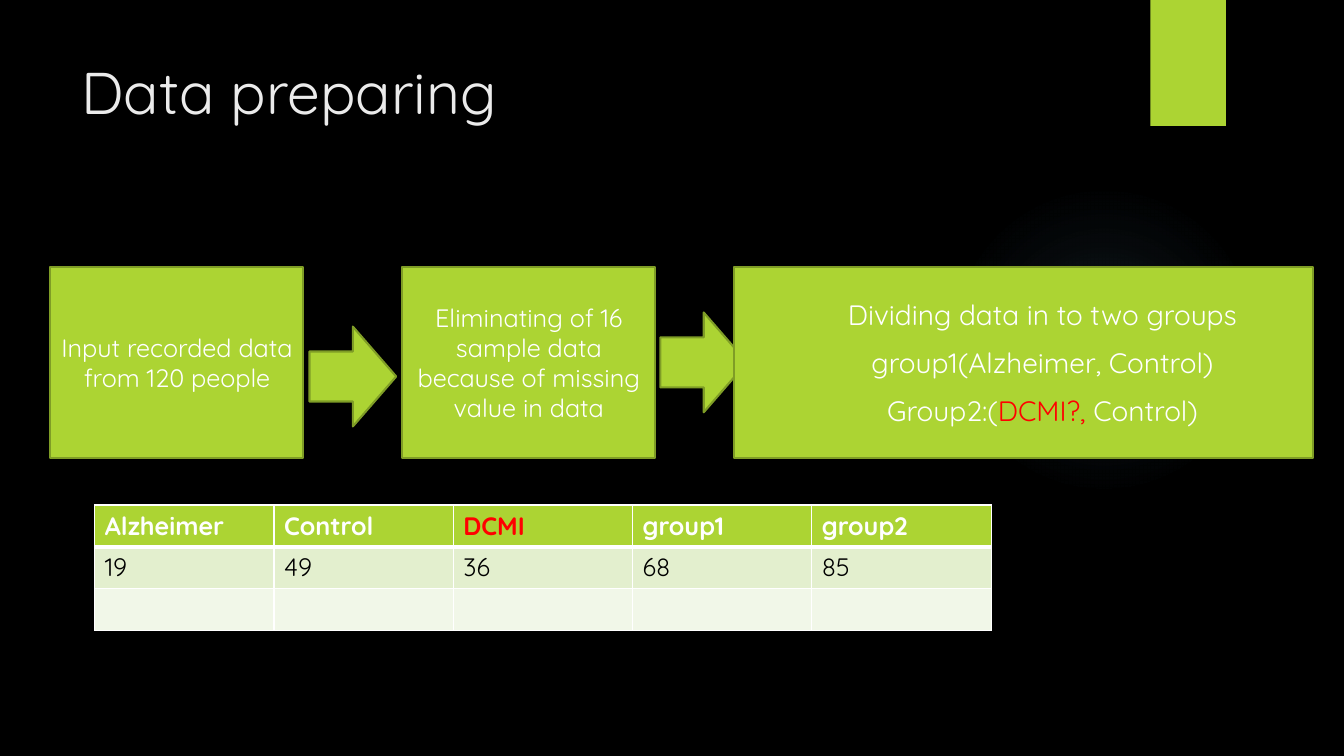
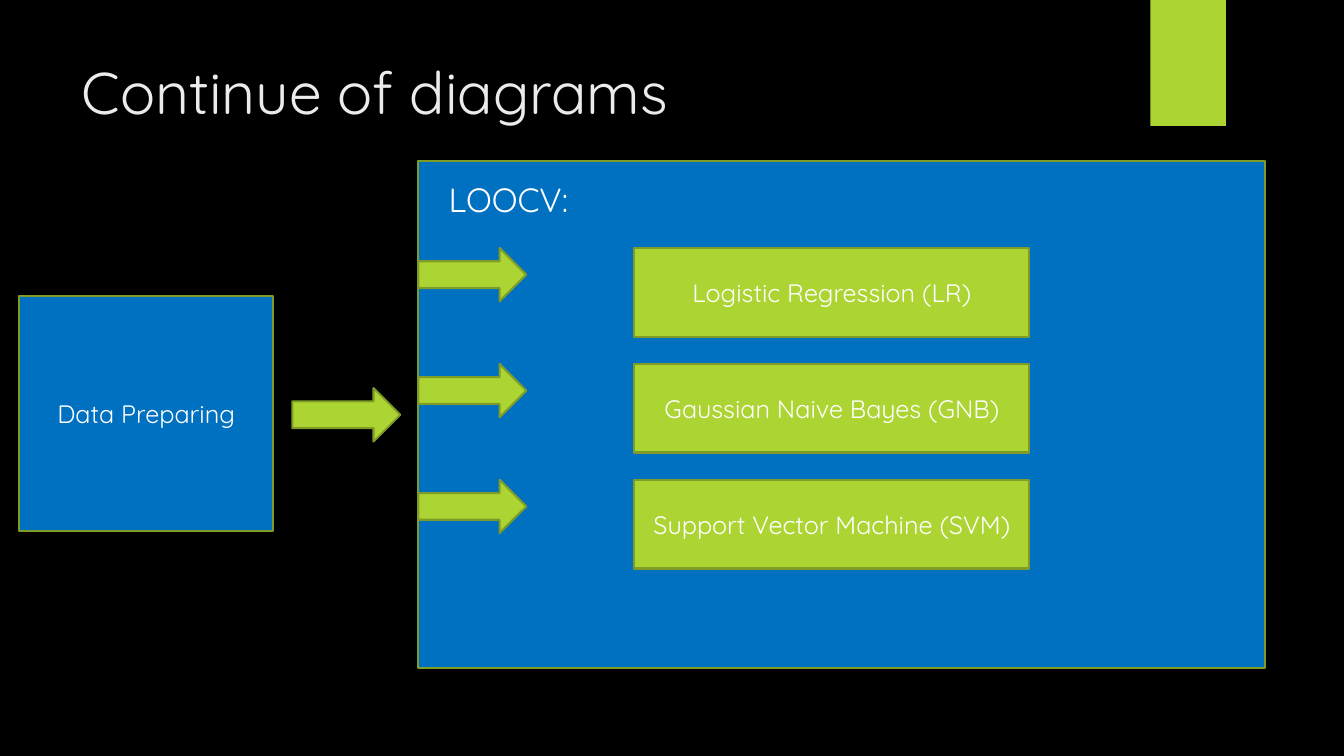
from dataclasses import dataclass

from lxml import etree
from pptx import Presentation
from pptx.dml.color import RGBColor
from pptx.enum.shapes import MSO_SHAPE as Shape
from pptx.enum.text import MSO_ANCHOR as Anchor, MSO_AUTO_SIZE as AutoSize, PP_ALIGN as Align
from pptx.oxml.ns import qn
from pptx.text.text import Font
from pptx.util import Inches, Pt


@dataclass(frozen=True)
class Theme:
    font: str = "Quicksand"
    background: str = "000000"
    title: str = "EBEBEB"
    green: str = "ACD433"
    outline: str = "7F9D26"
    blue: str = "0070C0"
    white: str = "FFFFFF"
    black: str = "000000"
    red: str = "FF0000"
    row_odd: str = "E3EFCE"
    row_even: str = "F1F7E8"
    glow: str = "7AC4F0"
    title_size: int = 42
    label_size: int = 24
    body_size: int = 20
    text_size: int = 18
    line_width: float = 1.5


THEME = Theme()

# Content; positions are (left, top, width, height) in inches
PREPARING_TITLE = "Data preparing"
STEPS = [
    ("Input recorded data from 120 people", (0.5, 2.65, 2.51, 1.89)),
    ("Eliminating of 16 sample data because of missing value in data", (3.99, 2.65, 2.51, 1.89)),
]
STEP_ARROWS = [(3.07, 3.24, 0.86, 0.99), (6.55, 3.1, 0.86, 0.99)]
GROUPS_AREA = (7.28, 2.65, 5.74, 1.89)
GROUPS = [
    [("Dividing data in to two groups", THEME.white)],
    [("group1(Alzheimer, Control)", THEME.white)],
    [("Group2:(", THEME.white), ("DCMI?, ", THEME.red), ("Control)", THEME.white)],
]
COUNTS_AREA = (0.94, 5.01, 8.89, 1.22)
COUNTS = [
    ["Alzheimer", "Control", "DCMI", "group1", "group2"],
    ["19", "49", "36", "68", "85"],
    ["", "", "", "", ""],
]
HIGHLIGHTED = "DCMI"

DIAGRAM_TITLE = "Continue of diagrams"
SOURCE = ("Data Preparing", (0.19, 2.94, 2.52, 2.33))
SOURCE_ARROW = (2.9, 3.85)
VALIDATION_AREA = (4.15, 1.6, 8.4, 5.03)
VALIDATION = ("LOOCV:", (4.35, 1.73, 1.75, 0.5))
MODELS = ["Logistic Regression (LR)", "Gaussian Naive Bayes (GNB)", "Support Vector Machine (SVM)"]
MODEL_TOP, MODEL_PITCH = 2.46, 1.15
ARROW_SIZE = (1.07, 0.53)

BAND_AREA = (11.41, 0, 0.75, 1.25)
GLOW_AREA = (9.41, 1.83, 3.08, 3.08)
GLOW_STOPS = [(0, 7), (36, 6), (69, 0)]  # position and opacity, percent


def inches(area):
    return [Inches(length) for length in area]


def rgb(value):
    return RGBColor.from_string(value)


def style_font(font, size, color, bold=None):
    font.name = THEME.font
    font.size = Pt(size)
    font.color.rgb = rgb(color)
    font.bold = bold


def add_solid(parent, color):
    fill = etree.SubElement(parent, qn("a:solidFill"))
    etree.SubElement(fill, qn("a:srgbClr"), val=color)


def add_box(page, area, text="", fill=THEME.green, kind=Shape.RECTANGLE, outline=True):
    box = page.shapes.add_shape(kind, *inches(area))
    box.shadow.inherit = False
    box.fill.solid()
    box.fill.fore_color.rgb = rgb(fill)
    if outline:
        box.line.color.rgb = rgb(THEME.outline)
        box.line.width = Pt(THEME.line_width)
    else:
        box.line.fill.background()
    if text:
        box.text_frame.word_wrap = True
        box.text_frame.vertical_anchor = Anchor.MIDDLE
        para = box.text_frame.paragraphs[0]
        para.text = text
        para.alignment = Align.CENTER
        style_font(para.font, THEME.text_size, THEME.white)
    return box


def add_arrow(page, area):
    return add_box(page, area, kind=Shape.RIGHT_ARROW)


def move_behind(shape, target):
    """Move a shape to the back of a master or layout."""
    target.shapes.element.insert(2, shape.element)


def style_master(master):
    master.background.fill.solid()
    master.background.fill.fore_color.rgb = rgb(THEME.background)
    title = master.placeholders[0]
    title.left, title.top, title.width, title.height = inches((0.71, 0.5, 10.29, 1.53))
    title.text_frame.vertical_anchor = Anchor.TOP
    level = master.element.xpath("//p:titleStyle/a:lvl1pPr")[0]
    level.set("algn", "l")
    style_font(Font(level.find(qn("a:defRPr"))), THEME.title_size, THEME.title)


def add_glow(page):
    glow = add_box(page, GLOW_AREA, kind=Shape.OVAL, outline=False)
    gradient = etree.Element(qn("a:gradFill"))
    stops = etree.SubElement(gradient, qn("a:gsLst"))
    for position, opacity in GLOW_STOPS:
        stop = etree.SubElement(stops, qn("a:gs"), pos=str(position * 1000))
        color = etree.SubElement(stop, qn("a:srgbClr"), val=THEME.glow)
        etree.SubElement(color, qn("a:alpha"), val=str(opacity * 1000))
    circle = etree.SubElement(gradient, qn("a:path"), path="circle")
    etree.SubElement(circle, qn("a:fillToRect"), l="50000", t="50000", r="50000", b="50000")
    solid = glow.element.spPr.find(qn("a:solidFill"))
    solid.getparent().replace(solid, gradient)
    return glow


def set_borders(cell, widths):
    properties = cell._tc.get_or_add_tcPr()
    for index, (side, width) in enumerate(widths.items()):
        line = etree.Element(qn(f"a:ln{side}"), w=str(Pt(width)))
        add_solid(line, THEME.white)
        properties.insert(index, line)


def fill_groups(body):
    body.left, body.top, body.width, body.height = inches(GROUPS_AREA)
    body.fill.solid()
    body.fill.fore_color.rgb = rgb(THEME.green)
    body.line.color.rgb = rgb(THEME.outline)
    body.line.width = Pt(THEME.line_width)
    frame = body.text_frame
    frame.auto_size = AutoSize.NONE
    frame.vertical_anchor = Anchor.MIDDLE
    for index, spans in enumerate(GROUPS):
        para = frame.add_paragraph() if index else frame.paragraphs[0]
        properties = para._p.get_or_add_pPr()
        properties.set("marL", str(Inches(0.38)))
        properties.set("indent", "0")
        etree.SubElement(properties, qn("a:buNone"))
        para.alignment = Align.CENTER
        para.space_before = Pt(10)
        style_font(para.font, THEME.body_size, THEME.white)
        for text, color in spans:
            span = para.add_run()
            span.text = text
            span.font.color.rgb = rgb(color)


def add_counts(page):
    frame = page.shapes.add_table(len(COUNTS), len(COUNTS[0]), *inches(COUNTS_AREA))
    fills = [THEME.green, THEME.row_odd, THEME.row_even]
    for row, values in enumerate(COUNTS):
        header = row == 0
        for column, value in enumerate(values):
            cell = frame.table.cell(row, column)
            cell.fill.solid()
            cell.fill.fore_color.rgb = rgb(fills[row])
            set_borders(cell, {"L": 1, "R": 1, "T": 3 if row == 1 else 1, "B": 3 if header else 1})
            para = cell.text_frame.paragraphs[0]
            para.text = value
            color = THEME.white if header else THEME.black
            style_font(para.font, THEME.text_size, THEME.red if value == HIGHLIGHTED else color, header)


def build_preparing(deck):
    layout = deck.slide_layouts[1]
    page = deck.slides.add_slide(layout)
    page.shapes.title.text = PREPARING_TITLE
    move_behind(add_glow(page), layout)
    move_behind(add_box(page, BAND_AREA, outline=False), deck.slide_master)

    # Process steps, with the groups box in front of the arrows
    for text, area in STEPS:
        add_box(page, area, text)
    for area in STEP_ARROWS:
        add_arrow(page, area)
    body = page.placeholders[1]
    fill_groups(body)
    page.shapes.element.append(body.element)

    add_counts(page)


def build_diagram(deck):
    page = deck.slides.add_slide(deck.slide_layouts[5])
    page.shapes.title.text = DIAGRAM_TITLE

    # Validation panel and its label
    add_box(page, VALIDATION_AREA, fill=THEME.blue)
    text, area = VALIDATION
    label = page.shapes.add_textbox(*inches(area))
    label.text_frame.word_wrap = True
    para = label.text_frame.paragraphs[0]
    para.text = text
    style_font(para.font, THEME.label_size, THEME.white)

    # Data source
    text, area = SOURCE
    add_box(page, area, text, fill=THEME.blue)
    add_arrow(page, SOURCE_ARROW + ARROW_SIZE)

    # One arrow and one box for each model
    for index, model in enumerate(MODELS):
        top = MODEL_TOP + index * MODEL_PITCH
        add_arrow(page, (VALIDATION_AREA[0], top) + ARROW_SIZE)
        add_box(page, (6.29, top, 3.92, 0.88), model)


def main():
    deck = Presentation()
    deck.slide_width, deck.slide_height = inches((13.33, 7.5))
    style_master(deck.slide_master)
    build_preparing(deck)
    build_diagram(deck)
    deck.save("out.pptx")


if __name__ == "__main__":
    main()
